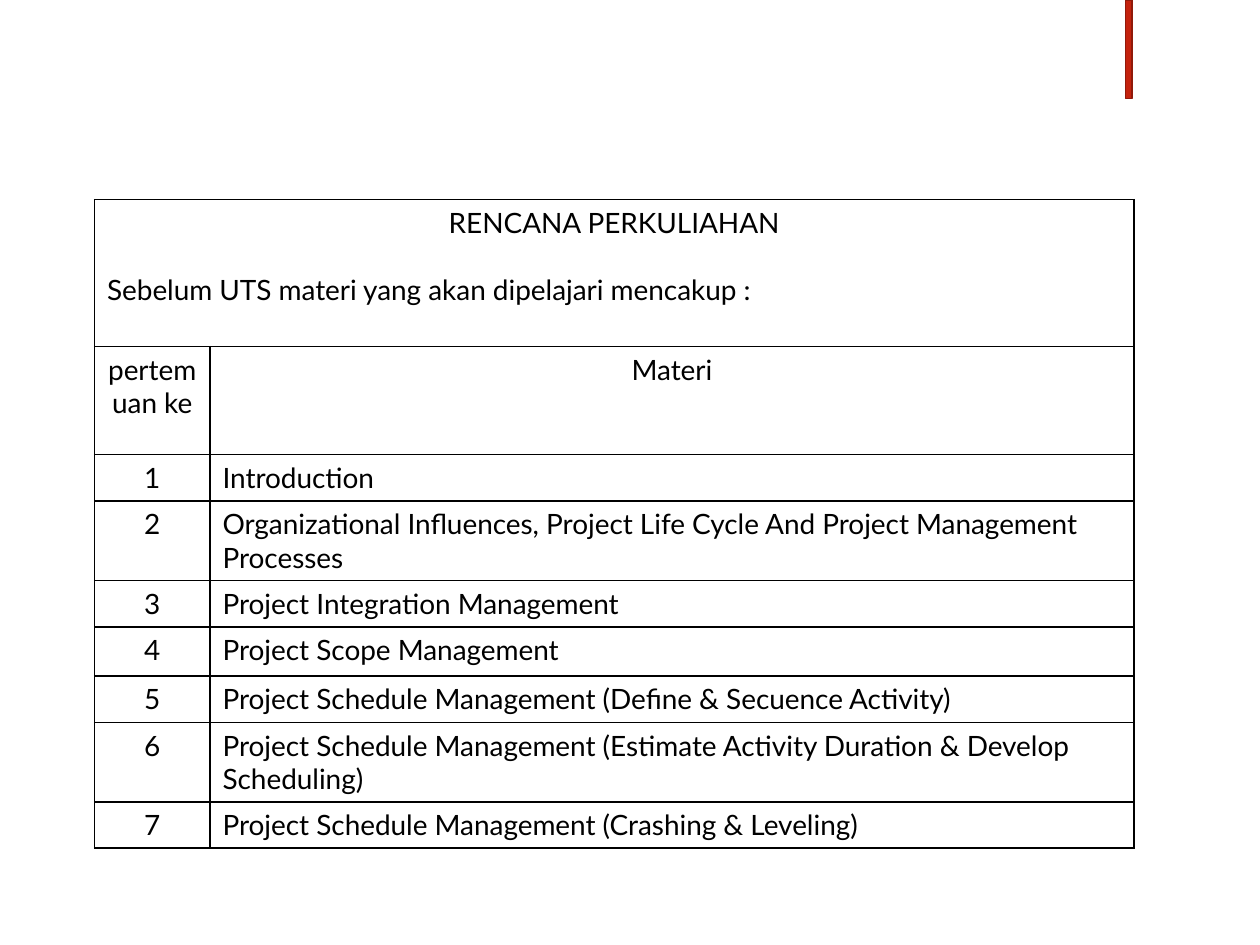
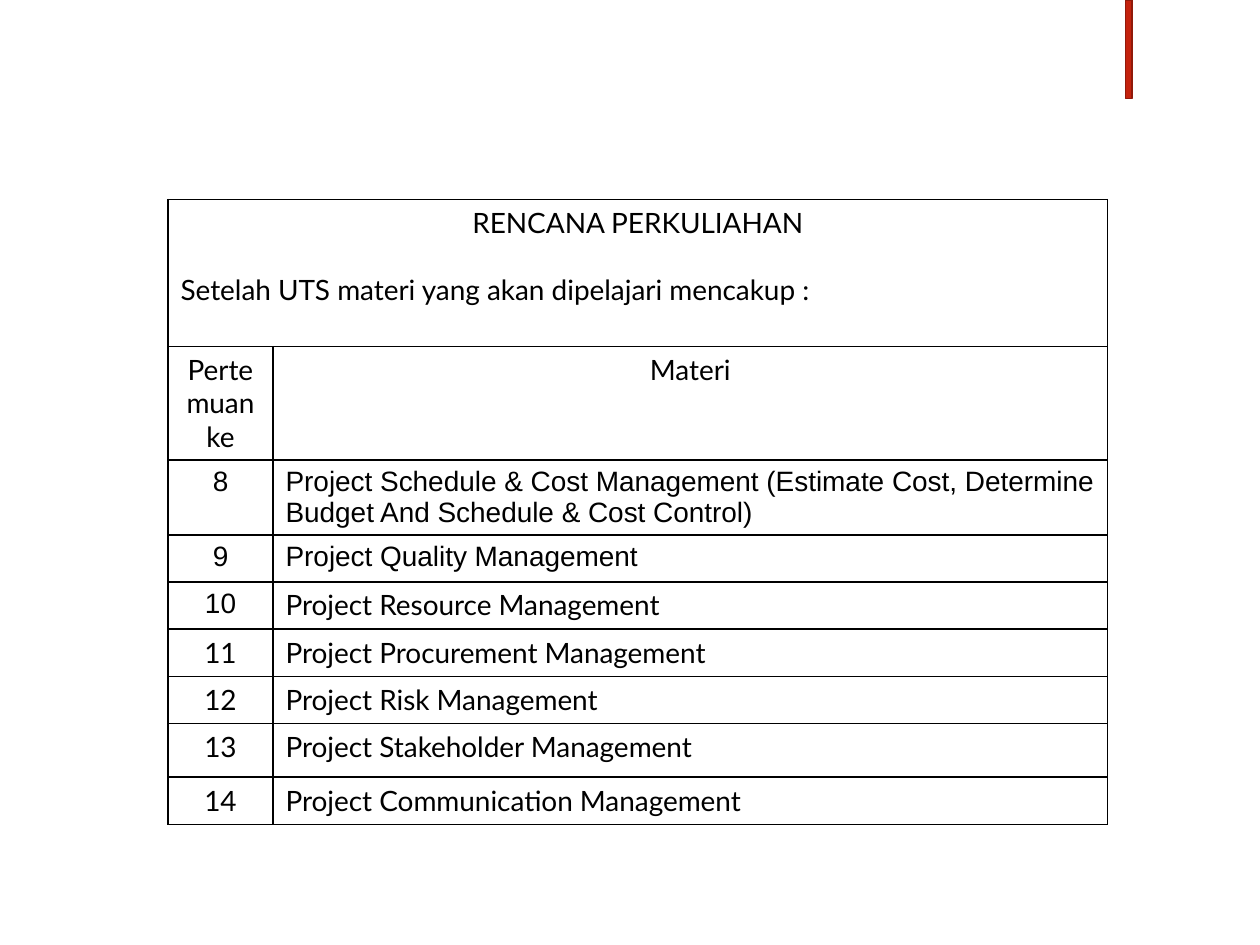
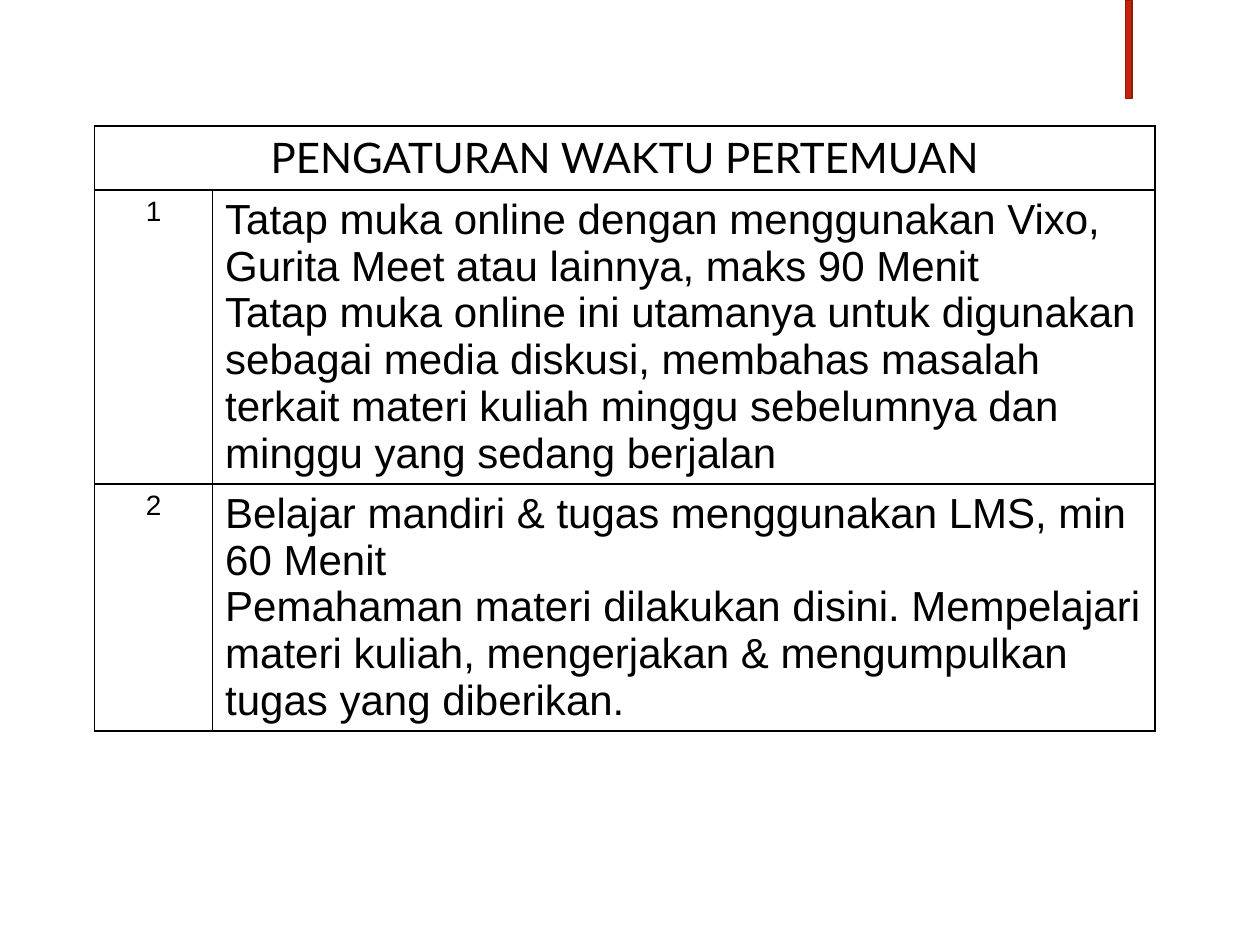
from lxml.etree import SubElement
from pptx import Presentation
from pptx.dml.color import RGBColor
from pptx.enum.shapes import MSO_SHAPE
from pptx.enum.text import PP_ALIGN
from pptx.oxml.ns import qn
from pptx.util import Inches, Pt

COLORS = {"bar": "C4220D", "bar_line": "91190A", "ink": "000000"}

prs = Presentation()
prs.slide_width = Inches(10)
prs.slide_height = Inches(7.5)
UNIT = prs.slide_width / 120


def grid(n):
    return round(n * UNIT)


def fill_cell(cell, paragraphs, font, size, align):
    tcPr = cell._tc.get_or_add_tcPr()
    for side in ("lnL", "lnR", "lnT", "lnB"):
        ln = SubElement(tcPr, qn(f"a:{side}"), w=str(Pt(1)))
        SubElement(SubElement(ln, qn("a:solidFill")), qn("a:srgbClr"), val=COLORS["ink"])
    cell.fill.background()
    tf = cell.text_frame
    tf.text = "\n".join(paragraphs)
    for p in tf.paragraphs:
        p.alignment = align
        p.font.name = font
        p.font.size = Pt(size)
        p.font.color.rgb = RGBColor.from_string(COLORS["ink"])


slides = [
    {
        "left": 9, "top": 19, "cols": [11, 88],
        "title": ["RENCANA PERKULIAHAN", "Sebelum UTS materi yang akan dipelajari mencakup :"],
        "title_size": 16, "title_height": 14, "body_size": 16,
        "heading": ("pertemuan ke", "Materi", 10.3),
        "rows": [
            (4.4, "Lato", "Lato", ["Introduction"]),
            (7.6, "Lato", "Lato", ["Organizational Influences, Project Life Cycle And Project Management Processes"]),
            (4.4, "Lato", "Lato", ["Project Integration Management"]),
            (4.7, "Lato", "Lato", ["Project Scope Management"]),
            (4.4, "Lato", "Lato", ["Project Schedule Management (Define & Secuence Activity)"]),
            (7.6, "Lato", "Lato", ["Project Schedule Management (Estimate Activity Duration & Develop Scheduling)"]),
            (4.4, "Lato", "Lato", ["Project Schedule Management (Crashing & Leveling)"]),
        ],
        "first": 1,
    },
    {
        "left": 16, "top": 19, "cols": [10, 79.5],
        "title": ["RENCANA PERKULIAHAN", "Setelah UTS materi yang akan dipelajari mencakup :"],
        "title_size": 16, "title_height": 14, "body_size": 16,
        "heading": ("Pertemuan ke", "Materi", 10.8),
        "rows": [
            (7.1, "Arial", "Arial", ["Project Schedule & Cost Management (Estimate Cost, Determine Budget And Schedule & Cost Control)"]),
            (4.5, "Arial", "Arial", ["Project Quality Management"]),
            (4.5, "Arial", "Lato", ["Project Resource Management"]),
            (4.5, "Lato", "Lato", ["Project Procurement Management"]),
            (4.5, "Lato", "Lato", ["Project Risk Management"]),
            (5.1, "Lato", "Lato", ["Project Stakeholder Management"]),
            (4.5, "Lato", "Lato", ["Project Communication Management"]),
        ],
        "first": 8,
    },
    {
        "left": 9, "top": 12, "cols": [11.25, 89.75],
        "title": ["PENGATURAN WAKTU PERTEMUAN"],
        "title_size": 24, "title_height": 6.1, "body_size": 24,
        "heading": None,
        "rows": [
            (28, "Arial", "Arial", [
                "Tatap muka online dengan menggunakan Vixo, Gurita Meet atau lainnya, maks 90 Menit",
                "Tatap muka online ini utamanya untuk digunakan sebagai media diskusi, membahas masalah terkait materi kuliah minggu sebelumnya dan minggu yang sedang berjalan",
            ]),
            (23.5, "Arial", "Arial", [
                "Belajar mandiri & tugas menggunakan LMS, min 60 Menit",
                "Pemahaman materi dilakukan disini. Mempelajari materi kuliah, mengerjakan & mengumpulkan tugas yang diberikan.",
            ]),
        ],
        "first": 1,
    },
]

for data in slides:
    s = prs.slides.add_slide(prs.slide_layouts[6])
    bar = s.shapes.add_shape(MSO_SHAPE.RECTANGLE, grid(107.2), 0, grid(0.6), grid(9.4))
    bar.shadow.inherit = False
    bar.fill.solid()
    bar.fill.fore_color.rgb = RGBColor.from_string(COLORS["bar"])
    bar.line.color.rgb = RGBColor.from_string(COLORS["bar_line"])
    bar.line.width = Pt(1)

    heights = [data["title_height"]]
    if data["heading"]:
        heights.append(data["heading"][2])
    start = len(heights)
    heights += [row[0] for row in data["rows"]]

    table = s.shapes.add_table(
        len(heights), 2, grid(data["left"]), grid(data["top"]),
        grid(sum(data["cols"])), grid(sum(heights))).table
    table.first_row = False
    table.horz_banding = False
    for column, width in zip(table.columns, data["cols"]):
        column.width = grid(width)
    for row, height in zip(table.rows, heights):
        row.height = grid(height)

    title = table.cell(0, 0)
    title.merge(table.cell(0, 1))
    fill_cell(title, data["title"], "Lato", data["title_size"], PP_ALIGN.CENTER)
    fill_cell(table.cell(0, 1), [""], "Lato", data["title_size"], PP_ALIGN.CENTER)
    for p in title.text_frame.paragraphs[1:]:
        p.alignment = PP_ALIGN.LEFT
        p.space_before = Pt(19)

    if data["heading"]:
        for c in range(2):
            fill_cell(table.cell(1, c), [data["heading"][c]], "Lato", 16, PP_ALIGN.CENTER)

    for i, (height, number_font, font, paragraphs) in enumerate(data["rows"]):
        number = str(data["first"] + i)
        fill_cell(table.cell(start + i, 0), [number], number_font, 16, PP_ALIGN.CENTER)
        fill_cell(table.cell(start + i, 1), paragraphs, font, data["body_size"], PP_ALIGN.LEFT)

prs.save("out.pptx")
